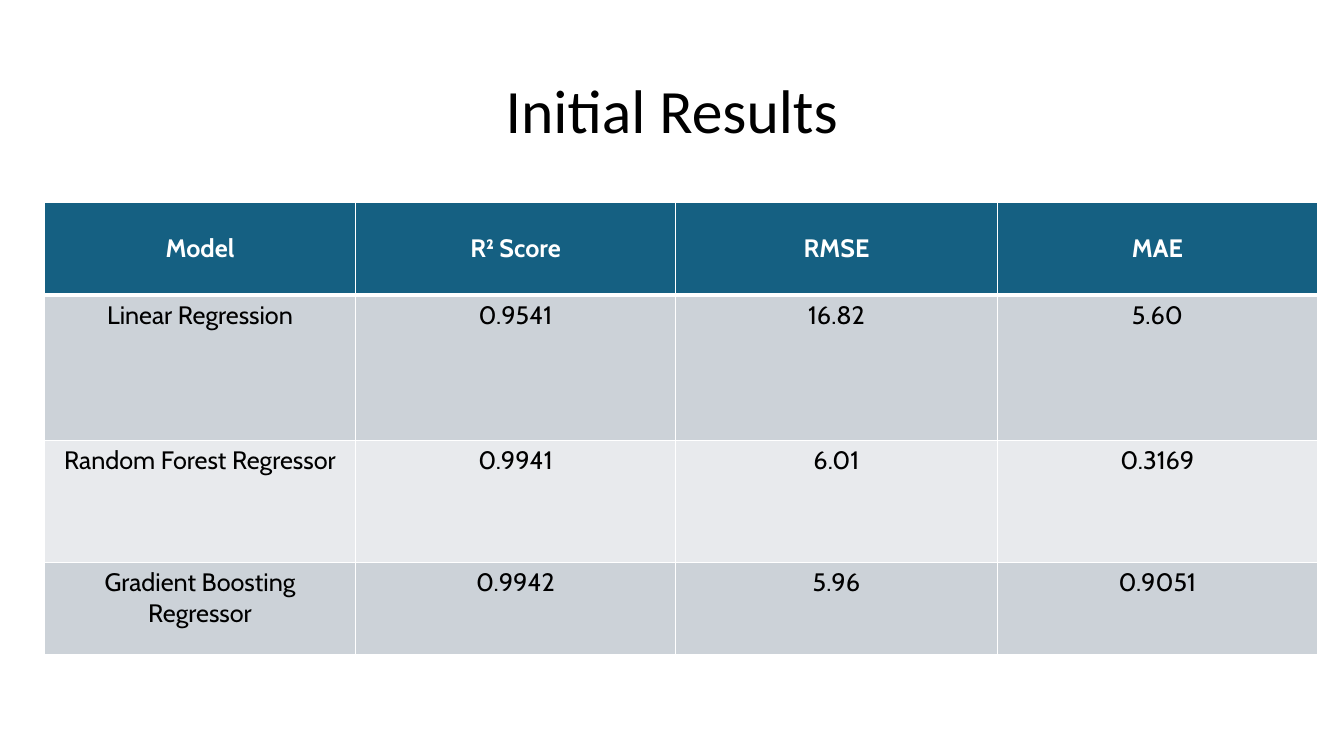
from lxml import etree
from pptx import Presentation
from pptx.dml.color import RGBColor
from pptx.enum.text import MSO_ANCHOR, PP_ALIGN
from pptx.oxml.ns import qn
from pptx.util import Pt

CENTER = PP_ALIGN.CENTER
TOP, MIDDLE = MSO_ANCHOR.TOP, MSO_ANCHOR.MIDDLE
TITLE_ONLY = 5

WHITE, BLACK, TEAL = "FFFFFF", "000000", "156082"
BANDS = ("CCD2D8", "E8EAED")

COLUMN_WIDTHS = (221.76, 229, 229.5, 229)
ROW_HEIGHTS = (66.24, 103.68, 87.12, 66.24)
RESULTS = (
    ("Model", "R² Score", "RMSE", "MAE"),
    ("Linear Regression", "0.9541", "16.82", "5.60"),
    ("Random Forest Regressor", "0.9941", "6.01", "0.3169"),
    ("Gradient Boosting Regressor", "0.9942", "5.96", "0.9051"),
)


def rgb(color):
    return RGBColor.from_string(color)


def set_text(tf, text, font="Cabin", size=18, color=BLACK, bold=False, spacing=None):
    p = tf.paragraphs[0]
    p.alignment = CENTER
    if spacing:
        p.line_spacing = spacing
    r = p.add_run()
    r.text = text
    r.font.name = font
    r.font.size = Pt(size)
    r.font.bold = bold
    r.font.color.rgb = rgb(color)


def set_borders(cell, top=1, bottom=1):
    tc_pr = cell._tc.get_or_add_tcPr()
    for side, width in (("L", 1), ("R", 1), ("T", top), ("B", bottom)):
        ln = etree.SubElement(tc_pr, qn(f"a:ln{side}"), w=str(Pt(width)))
        fill = etree.SubElement(ln, qn("a:solidFill"))
        etree.SubElement(fill, qn("a:srgbClr"), val=WHITE)


def add_title(s, text):
    title = s.shapes.title
    title.left, title.top, title.width, title.height = Pt(66), Pt(28.8), Pt(828), Pt(104.4)
    title.text_frame.vertical_anchor = MIDDLE
    set_text(title.text_frame, text, font="Calibri", size=44, spacing=0.9)


def add_results_table(s, left, top):
    frame = s.shapes.add_table(len(RESULTS), len(COLUMN_WIDTHS), Pt(left), Pt(top),
                               Pt(sum(COLUMN_WIDTHS)), Pt(sum(ROW_HEIGHTS)))
    table = frame.table
    for column, width in zip(table.columns, COLUMN_WIDTHS):
        column.width = Pt(width)
    for i, (row, height) in enumerate(zip(table.rows, ROW_HEIGHTS)):
        row.height = Pt(height)
        header = i == 0
        for cell, text in zip(row.cells, RESULTS[i]):
            # Thick rule between the header and the first model
            set_borders(cell, top=3 if i == 1 else 1, bottom=3 if header else 1)
            cell.fill.solid()
            cell.fill.fore_color.rgb = rgb(TEAL if header else BANDS[(i - 1) % 2])
            cell.vertical_anchor = MIDDLE if header else TOP
            set_text(cell.text_frame, text, color=WHITE if header else BLACK, bold=header)


def main():
    prs = Presentation()
    prs.slide_width, prs.slide_height = Pt(960), Pt(540)
    s = prs.slides.add_slide(prs.slide_layouts[TITLE_ONLY])
    add_title(s, "Initial Results")
    add_results_table(s, left=32, top=144.5)
    prs.save("out.pptx")


if __name__ == "__main__":
    main()
